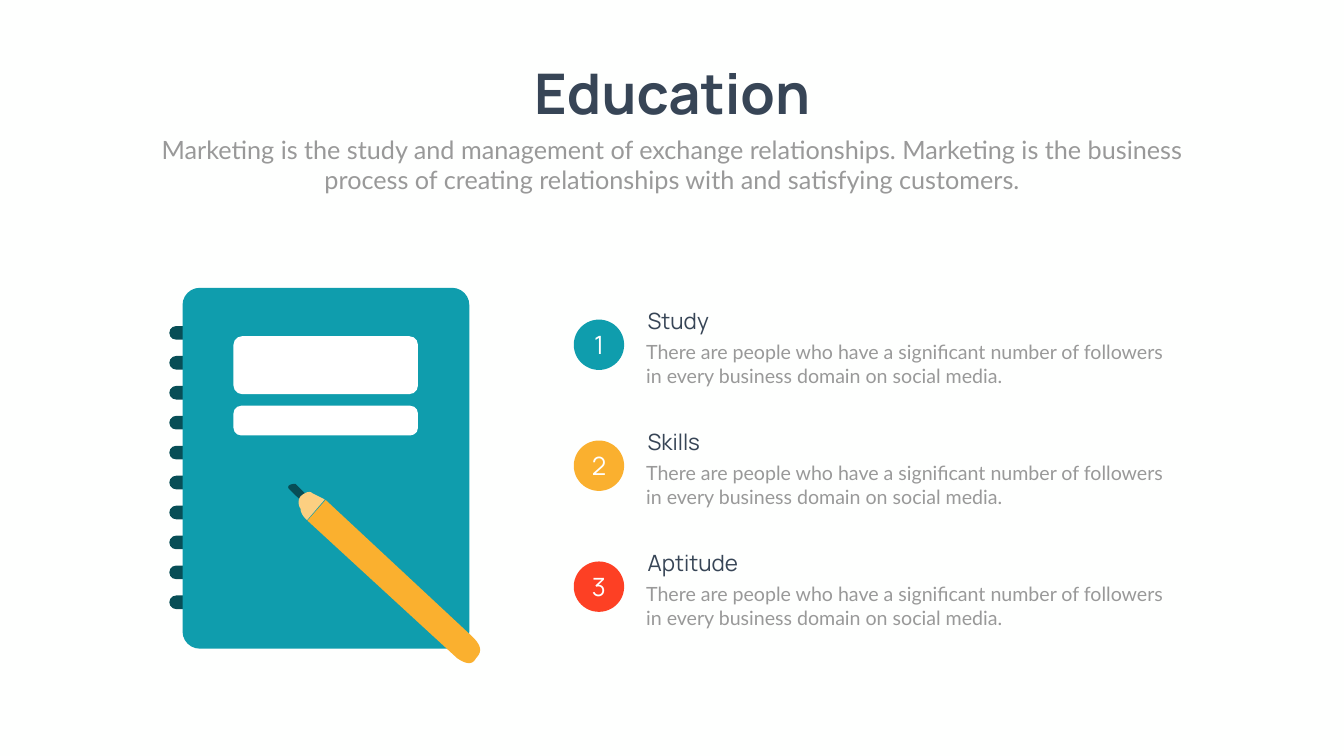
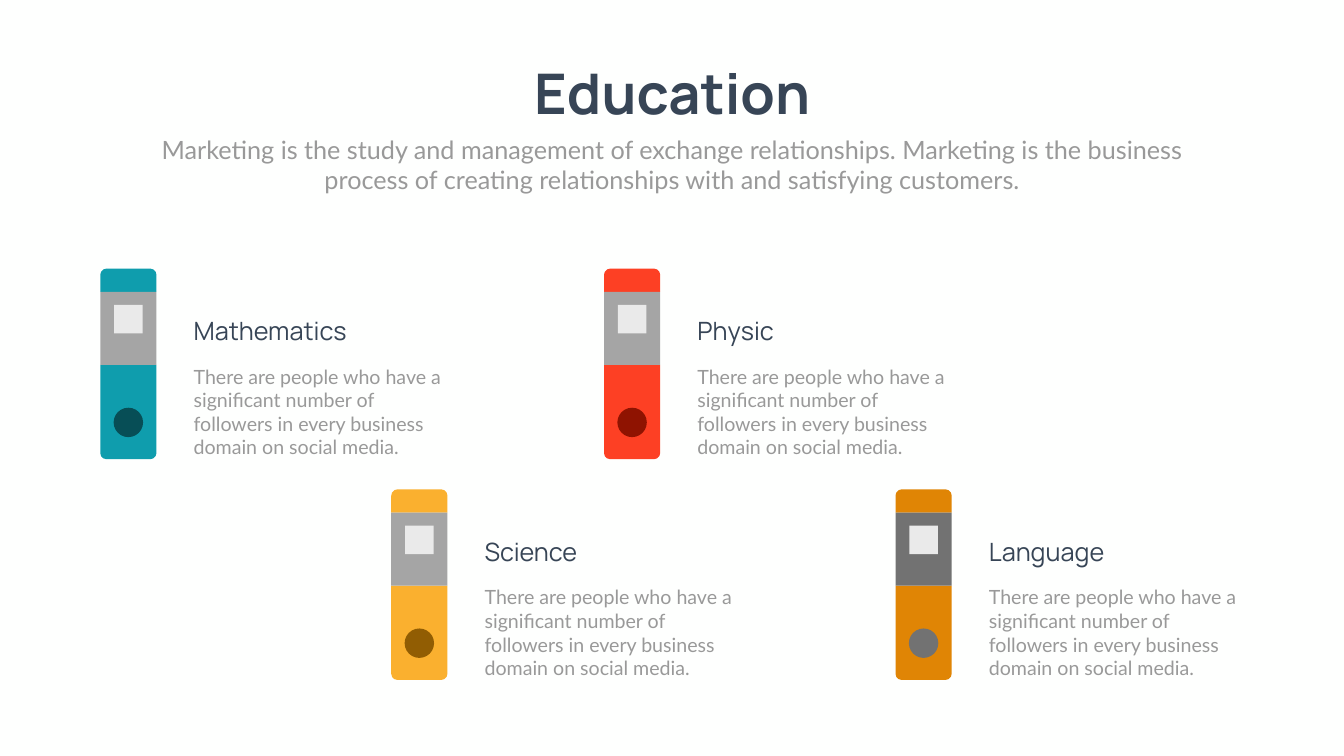
from dataclasses import dataclass

from pptx import Presentation
from pptx.dml.color import RGBColor
from pptx.enum.shapes import MSO_SHAPE
from pptx.enum.text import MSO_ANCHOR, MSO_AUTO_SIZE, PP_ALIGN
from pptx.util import Inches, Pt

SLIDE_WIDTH, SLIDE_HEIGHT = Inches(26.66), Inches(15)
COLUMN, ROW = SLIDE_WIDTH / 100, SLIDE_HEIGHT / 100  # grid of 100 by 100
ROWS_PER_COLUMN = COLUMN / ROW

RECTANGLE, ROUNDED = MSO_SHAPE.RECTANGLE, MSO_SHAPE.ROUNDED_RECTANGLE
ROUNDED_ENDS = MSO_SHAPE.ROUND_2_SAME_RECTANGLE
ELLIPSE = MSO_SHAPE.OVAL
LEFT, CENTER = PP_ALIGN.LEFT, PP_ALIGN.CENTER
TOP, MIDDLE = MSO_ANCHOR.TOP, MSO_ANCHOR.MIDDLE

COLORS = {
    "background": "FEFFFE", "white": "FFFFFF", "navy": "374556", "gray": "999999",
    "teal": "0F9DAD", "dark teal": "074E56",
    "yellow": "FAB02F", "brown": "915D03", "cream": "FCCF81",
    "red": "FD4024", "dark red": "8F1301", "orange": "E08505",
    "band": "A5A5A5", "dark band": "727272", "tag": "EAEAEA",
}
HEADING_FONT, BODY_FONT = "Manrope", "Lato"

TITLE = "Education"
SUBTITLE = ("Marketing is the study and management of exchange relationships. "
            "Marketing is the business process of creating relationships with "
            "and satisfying customers.")
DESCRIPTION = ("There are people who have a significant number of followers "
               "in every business domain on social media.")


@dataclass(frozen=True)
class Box:
    """Left and width in columns, top and height in rows."""
    left: float
    top: float
    width: float
    height: float

    def emu(self) -> tuple[int, int, int, int]:
        return (round(self.left * COLUMN), round(self.top * ROW),
                round(self.width * COLUMN), round(self.height * ROW))


@dataclass(frozen=True)
class TextStyle:
    size: int
    font: str
    color: str
    align: int = LEFT
    bold: bool = False


TITLE_STYLE = TextStyle(80, HEADING_FONT, "navy", CENTER, True)
SUBTITLE_STYLE = TextStyle(36, BODY_FONT, "gray", CENTER)
NUMBER_STYLE = TextStyle(36, HEADING_FONT, "white", CENTER)
STEP_STYLE = TextStyle(32, HEADING_FONT, "navy")
SUBJECT_STYLE = TextStyle(36, HEADING_FONT, "navy")
BODY_STYLE = TextStyle(28, BODY_FONT, "gray")


@dataclass(frozen=True)
class Step:
    name: str
    color: str


@dataclass(frozen=True)
class Binder:
    subject: str
    left: float
    top: float
    cover: str
    band: str
    hole: str


@dataclass(frozen=True)
class Outline:
    """Each segment holds one point (a line) or three points (a Bézier curve)."""
    color: str
    start: tuple
    segments: tuple


STEPS = (Step("Study", "teal"), Step("Skills", "yellow"), Step("Aptitude", "red"))

UPPER, LOWER = 35.53, 64.73
BINDERS = (
    Binder("Mathematics", 7.46, UPPER, "teal", "band", "dark teal"),
    Binder("Science", 29.11, LOWER, "yellow", "band", "brown"),
    Binder("Physic", 44.94, UPPER, "red", "band", "dark red"),
    Binder("Language", 66.63, LOWER, "orange", "dark band", "dark band"),
)

PENCIL = (
    Outline("yellow", (35.41, 87.07), (
        ((35.86, 86.27), (35.86, 85.47), (35.18, 84.27)),
        ((24.23, 66.13),), ((22.88, 68.87),), ((34.02, 87.07),),
        ((34.73, 87.93), (35.18, 87.93), (35.41, 87.07)))),
    Outline("dark teal", (21.53, 64.73), (
        ((22.66, 66.67),), ((23.07, 65.93),), ((21.98, 64),),
        ((21.53, 64), (21.31, 64.33), (21.53, 64.73)))),
    Outline("cream", (22.84, 68.8), (
        ((24.16, 66.07),), ((23.26, 65.27),),
        ((23.03, 64.8), (22.58, 65.27), (22.36, 65.67)),
        ((22.17, 66.07), (22.17, 66.8), (22.36, 67.27)),
        ((22.36, 68.07), (22.84, 68.8), (22.84, 68.8)))),
)


def rgb(name: str) -> RGBColor:
    return RGBColor.from_string(COLORS[name])


def write(shape, text: str, style: TextStyle, anchor=TOP) -> None:
    frame = shape.text_frame
    frame.word_wrap = True
    frame.auto_size = MSO_AUTO_SIZE.NONE
    frame.vertical_anchor = anchor
    paragraph = frame.paragraphs[0]
    paragraph.alignment = style.align
    run = paragraph.add_run()
    run.text = text
    run.font.name = style.font
    run.font.size = Pt(style.size)
    run.font.bold = style.bold
    run.font.color.rgb = rgb(style.color)


def add_text(slide, box: Box, text: str, style: TextStyle) -> None:
    write(slide.shapes.add_textbox(*box.emu()), text, style)


def paint(shape, color: str) -> None:
    shape.shadow.inherit = False
    shape.fill.solid()
    shape.fill.fore_color.rgb = rgb(color)
    shape.line.fill.background()


def add_filled(slide, kind, box: Box, color: str, *corners: float):
    shape = slide.shapes.add_shape(kind, *box.emu())
    for index, corner in enumerate(corners):
        shape.adjustments[index] = corner
    paint(shape, color)
    return shape


def bezier(points: tuple, steps: int = 12) -> list:
    """Sample a cubic curve given by its four control points, without its start."""
    samples = []
    for step in range(1, steps + 1):
        t = step / steps
        weights = ((1 - t) ** 3, 3 * t * (1 - t) ** 2, 3 * t * t * (1 - t), t ** 3)
        samples.append(tuple(sum(weight * point[axis] for weight, point in zip(weights, points))
                             for axis in (0, 1)))
    return samples


def add_outline(slide, outline: Outline) -> None:
    points = [outline.start]
    for segment in outline.segments:
        curved = len(segment) == 3
        points += bezier((points[-1], *segment)) if curved else segment
    corners = [(round(x * COLUMN), round(y * ROW)) for x, y in points]
    builder = slide.shapes.build_freeform(*corners[0])
    builder.add_line_segments(corners[1:], close=True)
    paint(builder.convert_to_shape(), outline.color)


def add_titled_slide(presentation):
    slide = presentation.slides.add_slide(presentation.slide_layouts[5])
    slide.background.fill.solid()
    slide.background.fill.fore_color.rgb = rgb("background")
    title = slide.shapes.title
    title.left, title.top, title.width, title.height = Box(38.71, 7.47, 22.62, 9.67).emu()
    write(title, TITLE, TITLE_STYLE)
    add_text(slide, Box(10.95, 17.4, 78.1, 8.73), SUBTITLE, SUBTITLE_STYLE)
    return slide


def add_notebook(slide) -> None:
    for ring in range(10):
        add_filled(slide, ROUNDED, Box(12.6, 43.13 + ring * 3.96, 3.34, 1.8), "dark teal", 0.5)
    add_filled(slide, ROUNDED, Box(13.58, 38.07, 21.34, 47.73), "teal", 0.06)
    for outline in PENCIL:
        add_outline(slide, outline)
    add_filled(slide, ROUNDED, Box(17.37, 44.47, 13.73, 7.67), "white", 0.15)
    add_filled(slide, ROUNDED, Box(17.37, 53.67, 13.73, 3.93), "white", 0.26)


def add_step(slide, index: int, step: Step) -> None:
    top = 40.27 + index * 16
    disc = add_filled(slide, ELLIPSE, Box(42.69, top + 2, 3.75, 3.75 * ROWS_PER_COLUMN),
                      step.color)
    write(disc, str(index + 1), NUMBER_STYLE, MIDDLE)
    add_text(slide, Box(47.82, top, 20.07, 4.27), step.name, STEP_STYLE)
    add_text(slide, Box(47.71, top + 4.4, 39.65, 6.93), DESCRIPTION, BODY_STYLE)


def add_binder(slide, binder: Binder) -> None:
    width, cap, band, base = 4.18, 3.07, 9.67, 12.47

    def centered(top: float, size: float) -> Box:
        return Box(binder.left + (width - size) / 2, binder.top + top,
                   size, size * ROWS_PER_COLUMN)

    def full(top: float, height: float) -> Box:
        return Box(binder.left, binder.top + top, width, height)

    add_filled(slide, ROUNDED_ENDS, full(cap + band, base), binder.cover, 0, 0.11)
    add_filled(slide, ROUNDED_ENDS, full(0, cap), binder.cover, 0.27, 0)
    add_filled(slide, RECTANGLE, full(cap, band), binder.band)
    add_filled(slide, RECTANGLE, centered(4.8, 2.12), "tag")
    add_filled(slide, ELLIPSE, centered(18.4, 2.19), binder.hole)
    text_left = binder.left + 6.58
    add_text(slide, Box(text_left, binder.top + 12.37, 19.95, 13.27), DESCRIPTION, BODY_STYLE)
    add_text(slide, Box(text_left, binder.top + 5.83, 20.07, 4.73), binder.subject, SUBJECT_STYLE)


def main() -> None:
    presentation = Presentation()
    presentation.slide_width, presentation.slide_height = SLIDE_WIDTH, SLIDE_HEIGHT

    notebook_slide = add_titled_slide(presentation)
    add_notebook(notebook_slide)
    for index, step in enumerate(STEPS):
        add_step(notebook_slide, index, step)

    binder_slide = add_titled_slide(presentation)
    for binder in BINDERS:
        add_binder(binder_slide, binder)

    presentation.save("out.pptx")


if __name__ == "__main__":
    main()
